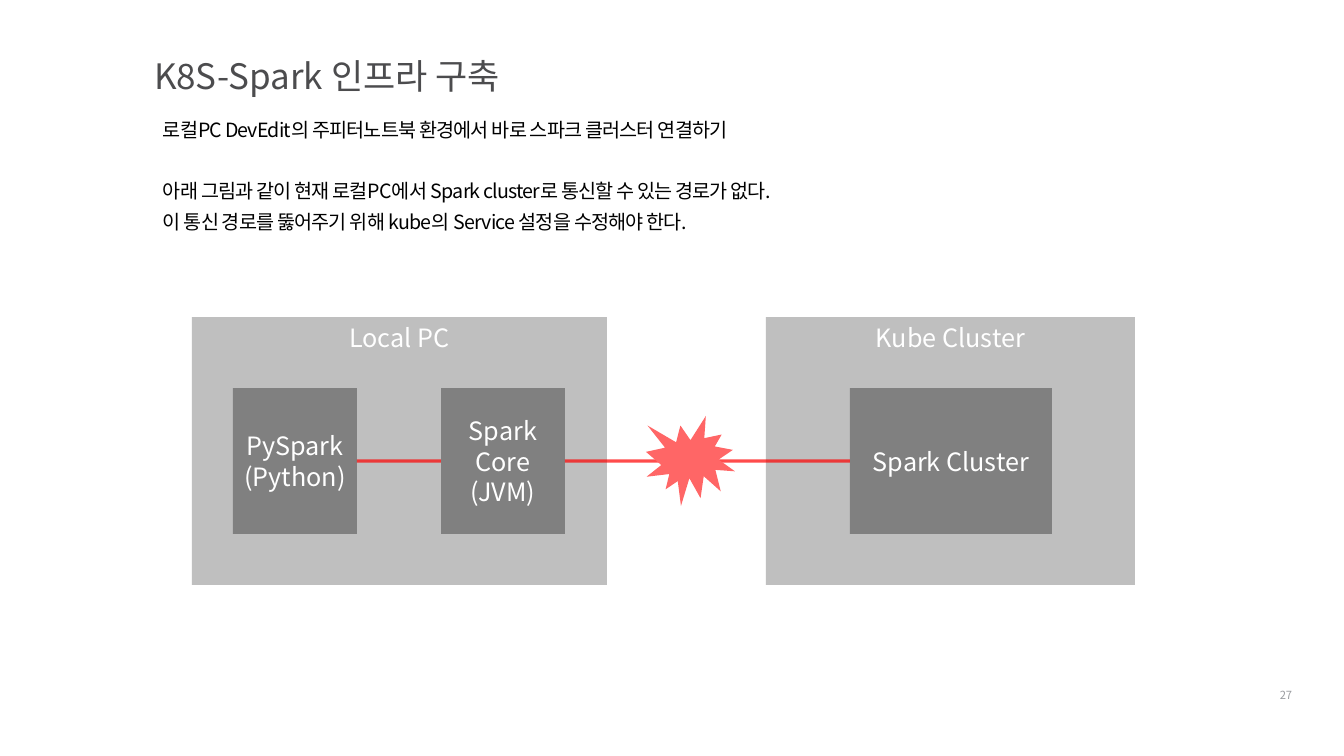
from pptx import Presentation
from pptx.dml.color import RGBColor
from pptx.enum.shapes import MSO_CONNECTOR, MSO_SHAPE
from pptx.enum.text import MSO_ANCHOR, MSO_AUTO_SIZE, PP_ALIGN
from pptx.oxml.ns import qn
from pptx.util import Pt
from lxml.etree import SubElement

EMU_PER_PX = 914400 / 100.8


def px(length):
    return round(length * EMU_PER_PX)


def colour(hex_code):
    return RGBColor.from_string(hex_code)


class DiagramSlide:
    FONT = "Noto Sans CJK KR"
    WHITE, BLACK, TITLE, MUTED = "FFFFFF", "000000", "4C4C4E", "9B9DA1"
    ZONE, NODE, BURST, LINK = "BFBFBF", "808080", "FF6666", "FF0000"

    def __init__(self, deck):
        self.slide = deck.slides.add_slide(deck.slide_layouts[5])
        self.shapes = self.slide.shapes

    def fill_text(self, frame, text, size, hex_code, align=PP_ALIGN.LEFT,
                  anchor=MSO_ANCHOR.TOP, leading=None, tracking=None):
        frame.text = text
        frame.word_wrap = True
        frame.vertical_anchor = anchor
        for paragraph in frame.paragraphs:
            paragraph.alignment = align
            paragraph.line_spacing = leading
            for run in paragraph.runs:
                run.font.name = self.FONT
                run.font.size = Pt(size)
                run.font.color.rgb = colour(hex_code)
                properties = run.font._element
                SubElement(properties, qn("a:ea")).set("typeface", self.FONT)
                if tracking:
                    properties.set("spc", str(tracking))

    def no_margins(self, frame):
        frame.margin_left = frame.margin_right = 0
        frame.margin_top = frame.margin_bottom = 0

    def title(self, text, left, top, width, height):
        heading = self.shapes.title
        heading.left, heading.top = px(left), px(top)
        heading.width, heading.height = px(width), px(height)
        frame = heading.text_frame
        self.no_margins(frame)
        frame.auto_size = MSO_AUTO_SIZE.NONE
        self.fill_text(frame, text, 25, self.TITLE, leading=0.9)

    def text(self, text, left, top, width, height, size, hex_code, **style):
        box = self.shapes.add_textbox(px(left), px(top), px(width), px(height))
        self.fill_text(box.text_frame, text, size, hex_code, **style)
        return box.text_frame

    def block(self, preset, left, top, width, height, fill):
        shape = self.shapes.add_shape(preset, px(left), px(top), px(width), px(height))
        shape.shadow.inherit = False
        shape.fill.solid()
        shape.fill.fore_color.rgb = colour(fill)
        shape.line.fill.background()
        return shape

    def zone(self, label, left, width):
        area = self.block(MSO_SHAPE.RECTANGLE, left, 317, width, 268, self.ZONE)
        self.fill_text(area.text_frame, label, 18, self.WHITE, PP_ALIGN.CENTER)

    def node(self, label, left, width):
        box = self.block(MSO_SHAPE.RECTANGLE, left, 388, width, 146, self.NODE)
        self.fill_text(box.text_frame, label, 18, self.WHITE, PP_ALIGN.CENTER,
                       MSO_ANCHOR.MIDDLE)

    def link(self, start, end, y=461):
        line = self.shapes.add_connector(
            MSO_CONNECTOR.STRAIGHT, px(start), px(y), px(end), px(y))
        line.line.color.rgb = colour(self.LINK)
        line.line.width = Pt(2.25)
        properties = line._element.spPr
        tint = properties.find(".//" + qn("a:srgbClr"))
        SubElement(tint, qn("a:alpha")).set("val", "70000")
        SubElement(properties, qn("a:effectLst"))


def main():
    deck = Presentation()
    deck.slide_width, deck.slide_height = px(1344), px(756)
    page = DiagramSlide(deck)

    # Heading and explanation
    page.title("K8S-Spark 인프라 구축", 154, 59, 850, 48)
    explanation = page.text(
        "로컬PC DevEdit의 주피터노트북 환경에서 바로 스파크 클러스터 연결하기\n"
        "아래 그림과 같이 현재 로컬PC에서 Spark cluster로 통신할 수 있는 경로가 없다.\n"
        "이 통신 경로를 뚫어주기 위해 kube의 Service 설정을 수정해야 한다.",
        163, 111, 1031, 120, 14, page.BLACK, leading=1.3, tracking=-60)
    page.no_margins(explanation)
    explanation.paragraphs[1].space_before = Pt(22)

    # Machines and the processes inside them
    page.zone("Kube Cluster", 766, 369)
    page.node("Spark Cluster", 850, 202)
    page.zone("Local PC", 192, 415)
    page.node("Spark\nCore\n(JVM)", 441, 124)
    page.node("PySpark\n(Python)", 233, 124)

    # Links, the second one broken
    page.link(357, 441)
    page.link(565, 850)
    page.block(MSO_SHAPE.EXPLOSION1, 646, 416, 89, 90, page.BURST)

    # Page number
    page.text("27", 1263, 683, 46, 24, 8, page.MUTED, align=PP_ALIGN.CENTER)

    deck.save("out.pptx")


if __name__ == "__main__":
    main()
